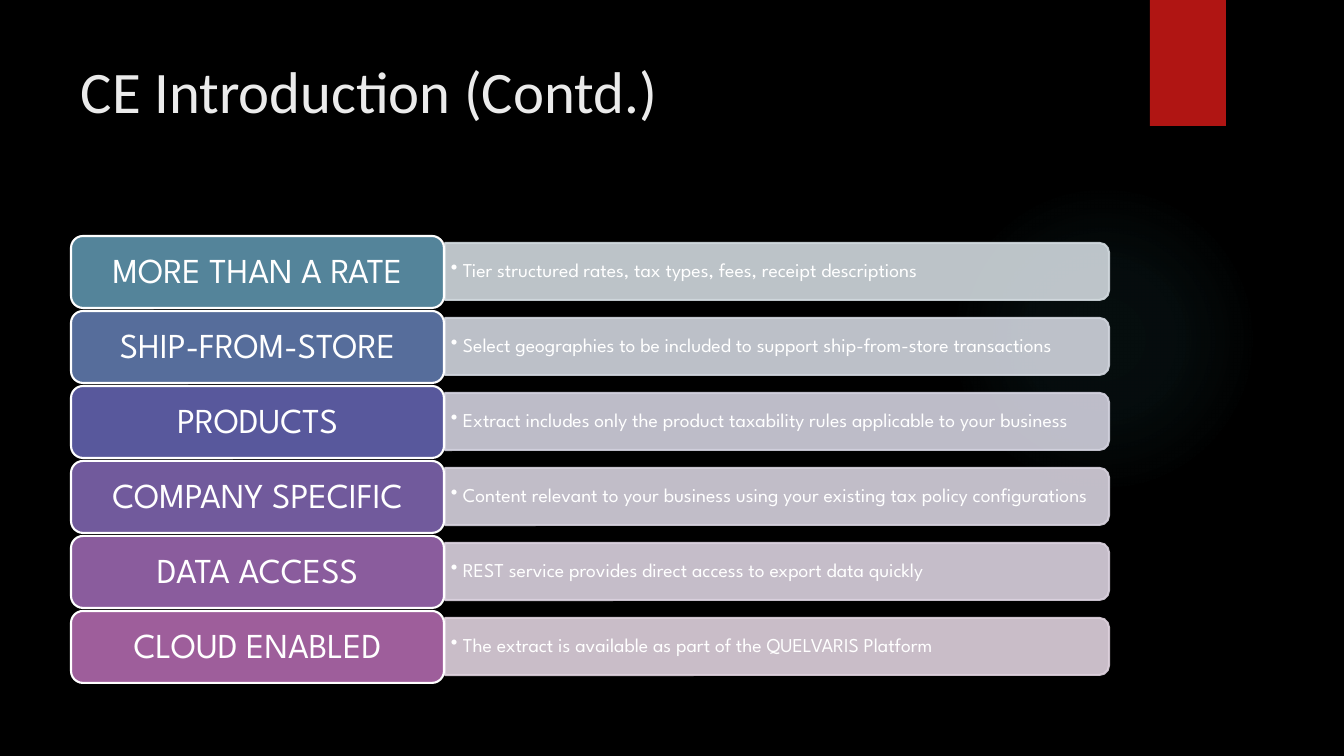
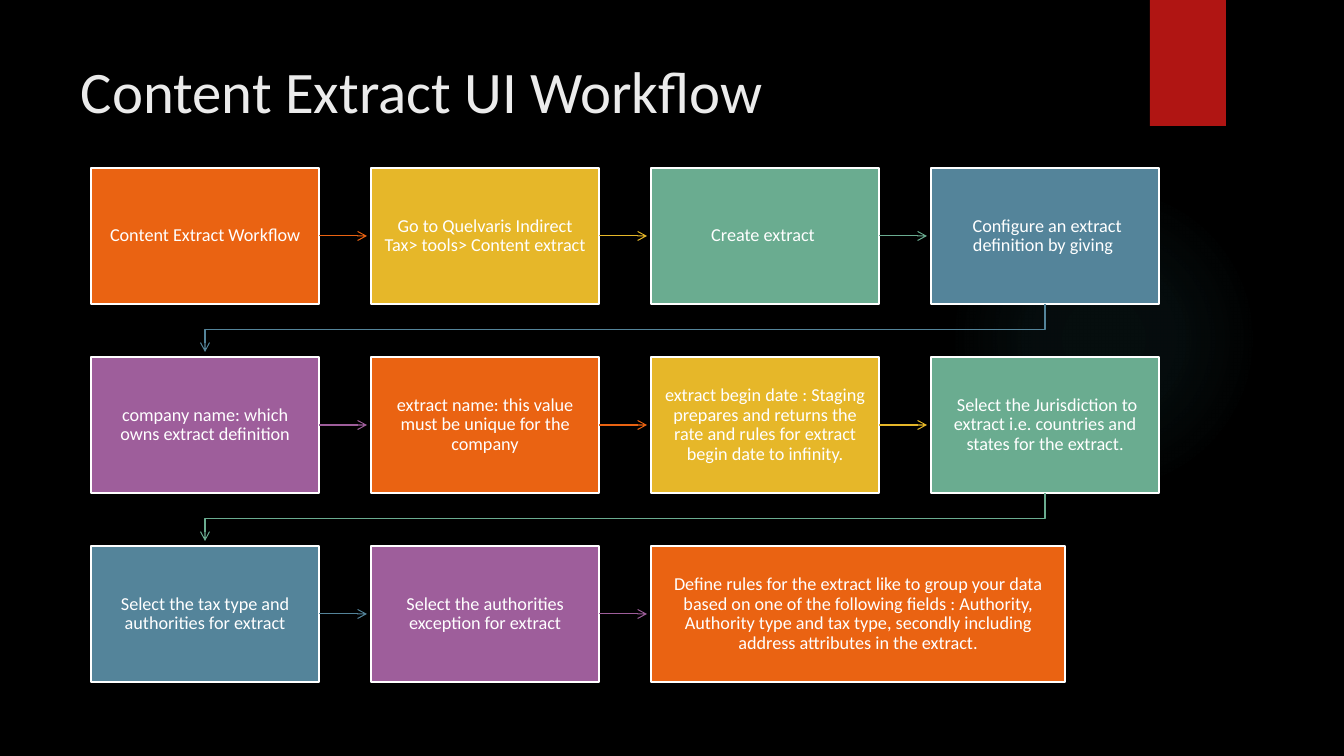
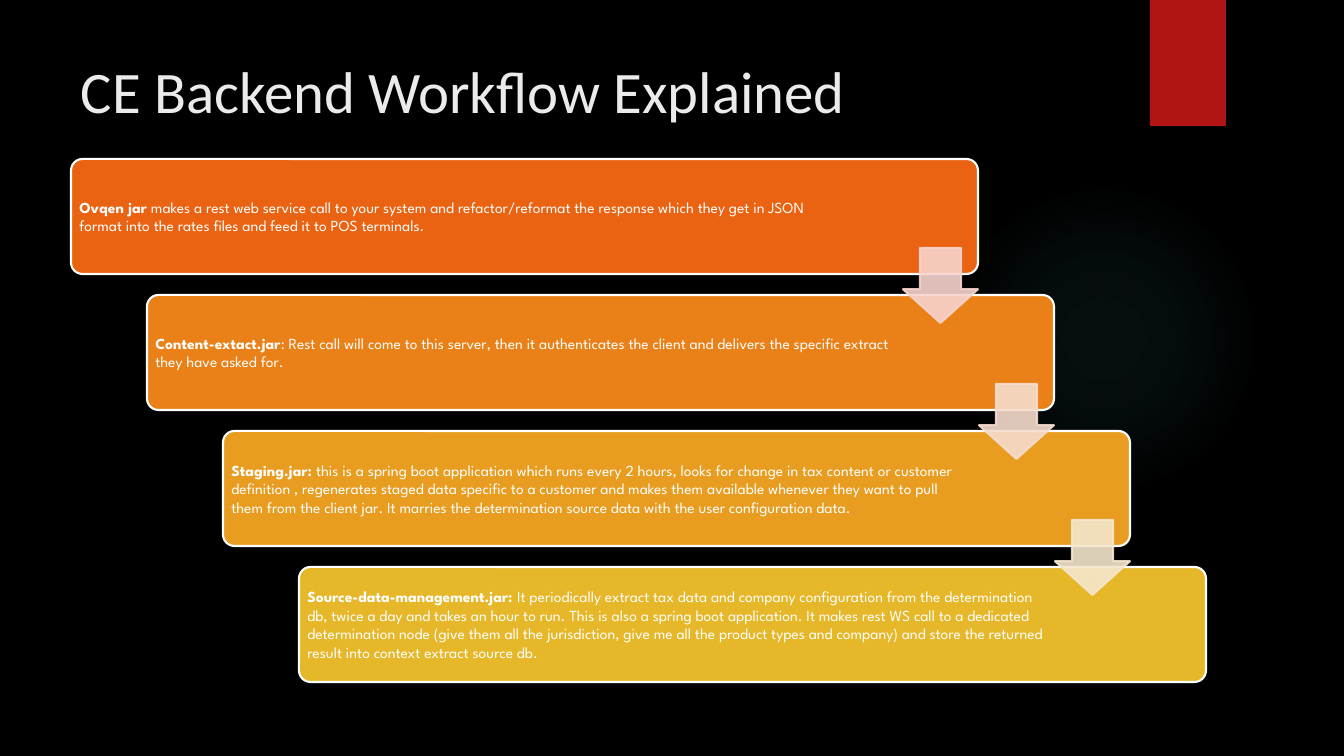
import pptx
import pptx.dml.color
import pptx.enum.shapes
import pptx.enum.text
import pptx.oxml
import pptx.oxml.ns
import pptx.util
from lxml import etree

RGBColor = pptx.dml.color.RGBColor
MSO_SHAPE = pptx.enum.shapes.MSO_SHAPE
MSO_ANCHOR = pptx.enum.text.MSO_ANCHOR
PP_ALIGN = pptx.enum.text.PP_ALIGN
qn = pptx.oxml.ns.qn

SLIDE_WIDTH, SLIDE_HEIGHT = 1344, 756
EMU_PER_PX = 12192000 / SLIDE_WIDTH

BLACK = RGBColor(0x00, 0x00, 0x00)
WHITE = RGBColor(0xFF, 0xFF, 0xFF)
TITLE_GREY = RGBColor(0xEB, 0xEB, 0xEB)
RIBBON_RED = RGBColor(0xB0, 0x15, 0x13)
GLOW_TEAL = RGBColor(0x50, 0xB9, 0xC1)
ORANGE = RGBColor(0xEA, 0x63, 0x12)
DEEP_AMBER = RGBColor(0xEA, 0x81, 0x18)
AMBER = RGBColor(0xE8, 0x9D, 0x21)
YELLOW = RGBColor(0xE6, 0xB7, 0x29)
GREEN = RGBColor(0x6A, 0xAC, 0x90)
BLUE = RGBColor(0x54, 0x84, 0x9A)
STEEL = RGBColor(0x56, 0x6D, 0x9B)
INDIGO = RGBColor(0x58, 0x58, 0x9C)
VIOLET = RGBColor(0x71, 0x5A, 0x9C)
ORCHID = RGBColor(0x8A, 0x5C, 0x9D)
PURPLE = RGBColor(0x9E, 0x5E, 0x9B)
PALE_BLUE = RGBColor(0xD1, 0xD9, 0xDE)
PALE_STEEL = RGBColor(0xD1, 0xD5, 0xDE)
PALE_INDIGO = RGBColor(0xD2, 0xD1, 0xDE)
PALE_VIOLET = RGBColor(0xD7, 0xD2, 0xDE)
PALE_ORCHID = RGBColor(0xDB, 0xD2, 0xDF)
PALE_PURPLE = RGBColor(0xDF, 0xD2, 0xDE)
PALE_ORANGE = RGBColor(0xF7, 0xD3, 0xCC)
PALE_AMBER = RGBColor(0xF6, 0xDC, 0xCD)
PALE_YELLOW = RGBColor(0xF5, 0xE6, 0xCD)

BODY_FONT = "Calibri"
DISPLAY_FONT = "League Spartan"
STEP_COLORS = [ORANGE, YELLOW, GREEN, BLUE, PURPLE]

FEATURES = [
    ("MORE THAN A RATE", BLUE, PALE_BLUE,
     "Tier structured rates, tax types, fees, receipt descriptions"),
    ("SHIP-FROM-STORE", STEEL, PALE_STEEL,
     "Select geographies to be included to support ship-from-store transactions"),
    ("PRODUCTS", INDIGO, PALE_INDIGO,
     "Extract includes only the product taxability rules applicable to your business"),
    ("COMPANY SPECIFIC", VIOLET, PALE_VIOLET,
     "Content relevant to your business using your existing tax policy configurations"),
    ("DATA ACCESS", ORCHID, PALE_ORCHID,
     "REST service provides direct access to export data quickly"),
    ("CLOUD ENABLED", PURPLE, PALE_PURPLE,
     "The extract is available as part of the QUELVARIS Platform"),
]

STEPS = [
    "Content Extract Workflow",
    "Go to Quelvaris Indirect Tax> tools> Content extract",
    "Create extract ",
    " Configure an extract definition by giving ",
    "company name: which owns extract definition",
    "extract name: this value must be unique for the company",
    "extract begin date : Staging prepares and returns the rate and rules for "
    "extract begin date to infinity.",
    " Select the Jurisdiction to extract i.e. countries and states for the extract.",
    "Select the tax type and authorities for extract",
    "Select the authorities exception for extract",
    "Define rules for the extract like to group your data based on one of the "
    "following fields : Authority, Authority type and tax type, secondly including "
    "address attributes in the extract.",
]

# Name, description, card colour, colour of the arrow to the next card
SERVICES = [
    ("Ovqen jar",
     " makes a rest web service call to your system and refactor/reformat the "
     "response which they get in JSON format into the rates files and feed it to "
     "POS terminals.", ORANGE, PALE_ORANGE),
    ("Content-extact.jar",
     ": Rest call will come to this server, then it authenticates the client and "
     "delivers the specific extract they have asked for.", DEEP_AMBER, PALE_AMBER),
    ("Staging.jar:",
     " this is a spring boot application which runs every 2 hours, looks for change "
     "in tax content or customer definition , regenerates staged data specific to a "
     "customer and makes them available whenever they want to pull them from the "
     "client jar. It marries the determination source data with the user "
     "configuration data.", AMBER, PALE_YELLOW),
    ("Source-data-management.jar: ",
     "It periodically extract tax data and company configuration from the "
     "determination db, twice a day and takes an hour to run. This is also a spring "
     "boot application. It makes rest WS call to a dedicated determination node "
     "(give them all the jurisdiction, give me all the product types and company) "
     "and store the returned result into context extract source db.", YELLOW, None),
]


def px(length):
    return pptx.util.Emu(round(length * EMU_PER_PX))


def write_text(box, text, *, size, font=BODY_FONT, color=WHITE, lead="",
               align=PP_ALIGN.LEFT, anchor=MSO_ANCHOR.MIDDLE, insets=(10, 5, 10, 5),
               spacing=None, bullet_indent=0):
    """Fill a box with one paragraph; lead is a bold opening."""
    frame = box.text_frame
    frame.word_wrap = True
    frame.vertical_anchor = anchor
    (frame.margin_left, frame.margin_top,
     frame.margin_right, frame.margin_bottom) = map(px, insets)
    para = frame.paragraphs[0]
    para.alignment = align
    if spacing:
        para.line_spacing = spacing
    if bullet_indent:
        properties = para._p.get_or_add_pPr()
        properties.set("marL", str(px(bullet_indent)))
        properties.set("indent", str(-px(bullet_indent)))
        etree.SubElement(properties, qn("a:buChar")).set("char", "•")
    for words, bold in ((lead, True), (text, False)):
        if words:
            span = para.add_run()
            span.text = words
            span.font.name = font
            span.font.size = pptx.util.Pt(size)
            span.font.bold = bold
            span.font.color.rgb = color


def add_text(slide, left, top, width, height, text, **text_format):
    box = slide.shapes.add_textbox(px(left), px(top), px(width), px(height))
    write_text(box, text, **text_format)


def set_alpha(fill, percent):
    color = fill._xPr.find(qn("a:solidFill"))[0]
    etree.SubElement(color, qn("a:alpha")).set("val", str(percent * 1000))


def add_panel(slide, kind, left, top, width, height, fill, line=None, alpha=None):
    panel = slide.shapes.add_shape(kind, px(left), px(top), px(width), px(height))
    panel.shadow.inherit = False
    panel.fill.solid()
    panel.fill.fore_color.rgb = fill
    if line is None:
        panel.line.fill.background()
    else:
        panel.line.color.rgb = line
        panel.line.width = pptx.util.Pt(1.5)
    if alpha:
        set_alpha(panel.fill, alpha)
        set_alpha(panel.line.fill, alpha)
    return panel


def add_glow(slide):
    glow = add_panel(slide, MSO_SHAPE.OVAL, 949, 184, 310, 310, GLOW_TEAL)
    stops = "".join(
        f'<a:gs pos="{place}000"><a:srgbClr val="{GLOW_TEAL}">'
        f'<a:alpha val="{alpha}000"/></a:srgbClr></a:gs>'
        for place, alpha in ((0, 7), (36, 6), (69, 0)))
    gradient = pptx.oxml.parse_xml(
        f'<a:gradFill {pptx.oxml.ns.nsdecls("a")}><a:gsLst>{stops}</a:gsLst>'
        '<a:path path="circle"><a:fillToRect l="50000" t="50000" r="50000" b="50000"/>'
        '</a:path></a:gradFill>')
    properties = glow._element.spPr
    properties.replace(properties.find(qn("a:solidFill")), gradient)


def add_slide(deck, title):
    slide = deck.slides.add_slide(deck.slide_layouts[6])
    add_glow(slide)
    add_panel(slide, MSO_SHAPE.RECTANGLE, 1150, 0, 76, 126, RIBBON_RED)
    add_text(slide, 71, 50, 1037, 154, title, size=42, color=TITLE_GREY,
             anchor=MSO_ANCHOR.TOP)
    return slide


def style_arrow(arrow, color):
    arrow.line.color.rgb = color
    arrow.line.width = pptx.util.Pt(0.75)
    outline = arrow.line._get_or_add_ln()
    etree.SubElement(outline, qn("a:tailEnd")).set("type", "arrow")


def add_straight_arrow(slide, source, left, y, right, color):
    arrow = slide.shapes.add_connector(
        pptx.enum.shapes.MSO_CONNECTOR.STRAIGHT, px(left), px(y), px(right), px(y))
    arrow.begin_connect(source, 3)
    style_arrow(arrow, color)
    etree.SubElement(arrow._element.spPr, qn("a:effectLst"))


def add_return_arrow(slide, points, color):
    """Draw the bent arrow from the end of one row to the start of the next."""
    start, *rest = [(px(x), px(y)) for x, y in points]
    builder = slide.shapes.build_freeform(*start)
    builder.add_line_segments(rest, close=False)
    arrow = builder.convert_to_shape()
    arrow.shadow.inherit = False
    arrow.fill.background()
    style_arrow(arrow, color)


def add_feature(slide, top, label, color, pale, detail):
    bar_left, bar_top, bar_length, bar_height = 445, top + 7, 664, 57
    # The bar is an upright shape turned a quarter, so its round corners face right
    bar = add_panel(slide, MSO_SHAPE.ROUND_2_SAME_RECTANGLE,
                    bar_left + (bar_length - bar_height) / 2,
                    bar_top - (bar_length - bar_height) / 2,
                    bar_height, bar_length, pale, line=pale, alpha=90)
    bar.rotation = 90
    add_text(slide, bar_left, top + 10, 660, 51, detail, size=14, font=DISPLAY_FONT,
             insets=(6, 3, 6, 3), spacing=0.9, bullet_indent=12)
    tab = add_panel(slide, MSO_SHAPE.ROUNDED_RECTANGLE, 71, top, 373, 72, color, line=WHITE)
    write_text(tab, label, size=25, font=DISPLAY_FONT, align=PP_ALIGN.CENTER, spacing=0.9)


def build_introduction(deck):
    slide = add_slide(deck, "CE Introduction (Contd.)")
    for row, feature in enumerate(FEATURES):
        add_feature(slide, 236 + 75 * row, *feature)


def build_ui_workflow(deck):
    slide = add_slide(deck, "Content Extract UI Workflow")
    columns, first_left, first_top = 4, 91, 168
    width, height, last_width, gap, tip_gap = 228, 136, 414, 52, 4
    last = len(STEPS) - 1
    for index, text in enumerate(STEPS):
        row, column = divmod(index, columns)
        left = first_left + column * (width + gap)
        top = first_top + row * (height + gap + 1)
        color = STEP_COLORS[index % len(STEP_COLORS)]
        step = add_panel(slide, MSO_SHAPE.RECTANGLE, left, top,
                         last_width if index == last else width, height, color, line=WHITE)
        write_text(step, text, size=13, align=PP_ALIGN.CENTER,
                   insets=(11, 12, 11, 12), spacing=0.9)
        if index == last:
            continue
        right, bottom = left + width, top + height
        if column < columns - 1:
            add_straight_arrow(slide, step, right, top + height // 2,
                               right + gap - tip_gap, color)
        else:
            start_x, end_x = left + width // 2, first_left + width // 2
            turn_y = bottom + gap // 2
            add_return_arrow(slide, [(start_x, bottom), (start_x, turn_y), (end_x, turn_y),
                                     (end_x, bottom + gap - tip_gap)], color)


def build_backend_workflow(deck):
    slide = add_slide(deck, "CE Backend Workflow Explained")
    width, height, arrow_size = 907, 115, 75
    arrows = []
    for index, (name, description, color, arrow_color) in enumerate(SERVICES):
        left, top = 71 + 76 * index, 159 + 136 * index
        card = add_panel(slide, MSO_SHAPE.ROUNDED_RECTANGLE, left, top, width, height,
                         color, line=WHITE)
        card.adjustments[0] = 0.1
        write_text(card, description, lead=name, size=11, font=DISPLAY_FONT,
                   insets=(5, 5, 157, 5))
        if arrow_color:
            arrows.append((left + width - arrow_size, top + 89, arrow_color))
    for left, top, color in arrows:
        arrow = add_panel(slide, MSO_SHAPE.DOWN_ARROW, left, top, arrow_size, arrow_size,
                          color, line=color, alpha=90)
        arrow.adjustments[0] = 0.55
        arrow.adjustments[1] = 0.45


def main():
    deck = pptx.Presentation()
    deck.slide_width, deck.slide_height = px(SLIDE_WIDTH), px(SLIDE_HEIGHT)
    background = deck.slide_master.background.fill
    background.solid()
    background.fore_color.rgb = BLACK
    build_introduction(deck)
    build_ui_workflow(deck)
    build_backend_workflow(deck)
    deck.save("out.pptx")


if __name__ == "__main__":
    main()
